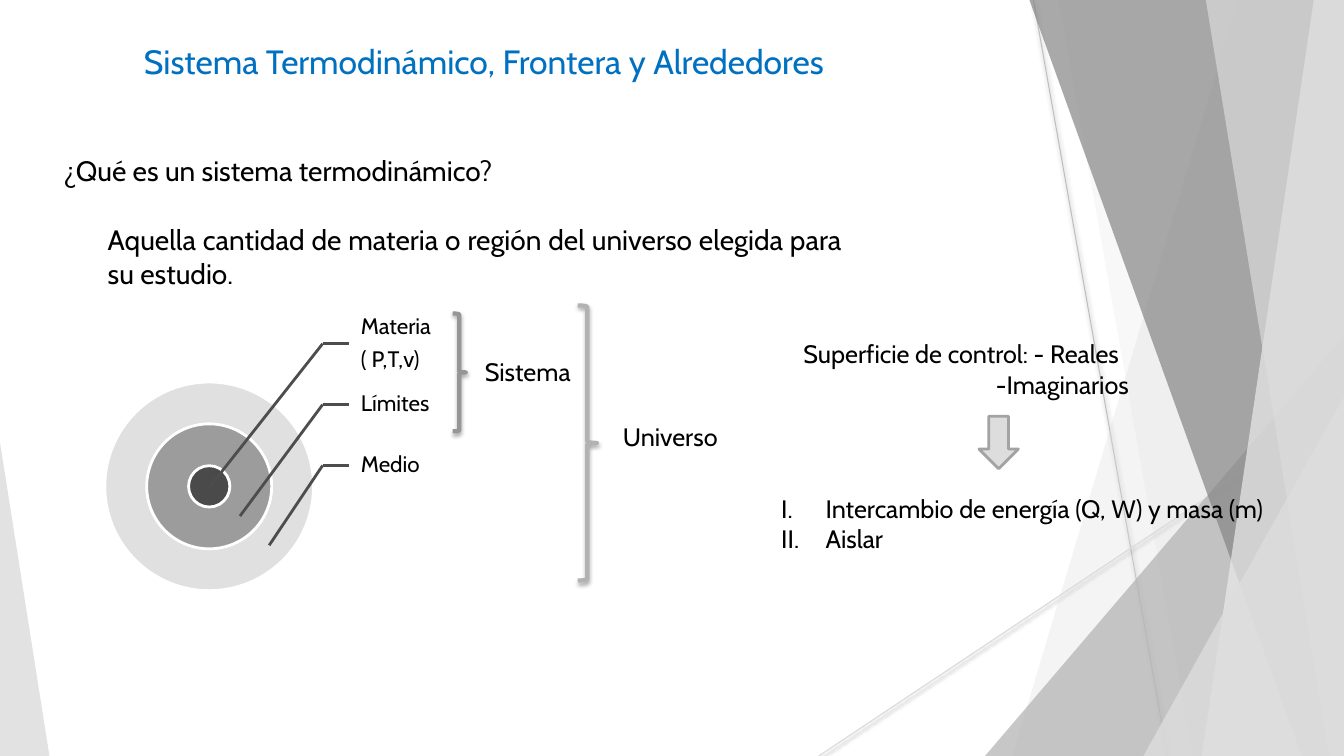
from dataclasses import dataclass

from lxml import etree
from pptx import Presentation
from pptx import util as u
from pptx.dml.color import RGBColor
from pptx.enum import shapes, text
from pptx.oxml import ns

# Grid: 133.3 columns by 75 rows of square cells
COLS, ROWS = 133.3, 75
CELL = u.Inches(0.1)


@dataclass(frozen=True)
class Theme:
    font: str = "Cabin"
    title: str = "0070C0"
    ink: str = "000000"
    white: str = "FFFFFF"
    pale: str = "DDDDDD"
    callout: str = "4D4D4D"
    title_size: int = 24
    body_size: int = 20
    note_size: int = 18
    label_size: int = 16


T = Theme()


def g(cells):
    return u.Emu(round(cells * CELL))


def rgb(value):
    return RGBColor.from_string(value)


def sub(parent, tag, **attrs):
    return etree.SubElement(parent, ns.qn(tag), {k: str(v) for k, v in attrs.items()})


def add_effects(sp, shadow=0):
    """Leave the shape flat, or give it a soft shadow of the given opacity."""
    effects = sub(sp._element.spPr, "a:effectLst")
    if shadow:
        outer = sub(effects, "a:outerShdw", blurRad=u.Pt(3.1), dist=u.Pt(1.7),
                    dir=5400000, algn="ctr", rotWithShape=0)
        color = sub(outer, "a:srgbClr", val="000000")
        sub(color, "a:alpha", val=shadow * 1000)


def paint(sp, fill=None, opacity=100, line=None, width=2, shadow=0):
    if fill:
        sp.fill.solid()
        sp.fill.fore_color.rgb = rgb(fill)
        if opacity < 100:
            color = sp._element.spPr.find(".//" + ns.qn("a:srgbClr"))
            sub(color, "a:alpha", val=opacity * 1000)
    else:
        sp.fill.background()
    if line:
        sp.line.color.rgb = rgb(line)
        sp.line.width = u.Pt(width)
    else:
        sp.line.fill.background()
    add_effects(sp, shadow)


def add_preset(s, kind, box, adj=None, **style):
    sp = s.shapes.add_shape(kind, *map(g, box))
    if adj is not None:
        sp.adjustments[0] = adj
    paint(sp, **style)


def add_facet(s, points, fill, opacity):
    start, *rest = [(g(x), g(y)) for x, y in points]
    builder = s.shapes.build_freeform(*start)
    builder.add_line_segments(rest, close=True)
    paint(builder.convert_to_shape(), fill, opacity)


def add_line(s, start, end, color, width, shadow=0):
    line = s.shapes.add_connector(
        shapes.MSO_CONNECTOR.STRAIGHT, *map(g, (*start, *end)))
    line.line.color.rgb = rgb(color)
    line.line.width = u.Pt(width)
    add_effects(line, shadow)


def add_text(s, box, lines, size, color=T.ink, align=None):
    tf = s.shapes.add_textbox(*map(g, box)).text_frame
    tf.word_wrap = True
    tf.auto_size = text.MSO_AUTO_SIZE.SHAPE_TO_FIT_TEXT
    for i, line in enumerate(lines):
        p = tf.paragraphs[0] if i == 0 else tf.add_paragraph()
        p.text = line
        p.alignment = align
        p.font.name, p.font.size = T.font, u.Pt(size)
        p.font.color.rgb = rgb(color)
    return tf


def indent(p, left, hanging=0, numbering=None):
    pPr = p._p.get_or_add_pPr()
    pPr.set("marL", str(g(left)))
    pPr.set("indent", str(-g(hanging)))
    if numbering:
        bullet = pPr.makeelement(ns.qn("a:buAutoNum"), {"type": numbering})
        pPr.insert(0, bullet)


def add_callout(s, row, tip, lines):
    """Label with a short shelf and a slanted leader to its ring."""
    elbow, shelf_end = 32, 34.6
    tf = add_text(s, (shelf_end, row - 3.05, 10.4, 6.1), lines, T.label_size)
    tf.auto_size = text.MSO_AUTO_SIZE.NONE
    tf.vertical_anchor = text.MSO_ANCHOR.MIDDLE
    tf.margin_left = g(1.2)
    tf.margin_right = tf.margin_top = tf.margin_bottom = g(0.2)
    for p in tf.paragraphs:
        p.line_spacing = 0.9
        p.space_after = u.Pt(6)
    add_line(s, (elbow, row), (shelf_end, row), T.callout, 2)
    add_line(s, (elbow, row), tip, T.callout, 2)


def add_backdrop(s):
    add_line(s, (102.5, 0), (115.8, ROWS), "BFBFBF", 0.75, shadow=38)
    add_line(s, (COLS, 40.3), (81.2, ROWS), "D9D9D9", 0.75, shadow=38)
    triangle = shapes.MSO_SHAPE.ISOSCELES_TRIANGLE

    # Facets reach the right edge: (top left, bottom left, fill, opacity)
    def facet(top, bottom, fill, opacity):
        add_facet(s, [(top, 0), (COLS, 0), (COLS, ROWS), (bottom, ROWS)], fill, opacity)

    def corner(left, top, width, adj, fill, opacity):
        add_preset(s, triangle, (left, top, width, ROWS - top), adj,
                   fill=fill, opacity=opacity)

    facet(122.8, 100.4, T.pale, 30)
    facet(105, 118.3, T.pale, 20)
    corner(97.7, 33.3, 35.6, 1, "B2B2B2", 72)
    facet(102.1, 129.1, "858585", 70)
    facet(130.3, 119.2, "EBEBEB", 70)
    facet(119.6, 131.8, T.pale, 65)
    corner(113.4, 39.3, 19.9, 1, T.pale, 80)
    corner(0, 43.9, 4.9, 0, T.pale, 85)


def add_rings(s):
    cx, cy = 20.75, 48.25
    for size, fill, opacity in ((20.7, "C2C2C2", 50), (12.4, "868686", 75),
                                (4.1, "4A4A4A", 100)):
        add_preset(s, shapes.MSO_SHAPE.OVAL,
                   (cx - size / 2, cy - size / 2, size, size),
                   fill=fill, opacity=opacity, line=T.white)
    callouts = (((20.8, 48.3), ["Materia", "( P,T,v)"]),
                ((23.8, 51.2), ["Límites"]),
                ((26.7, 54.1), ["Medio"]))
    for i, (tip, lines) in enumerate(callouts):
        add_callout(s, 34.1 + 6.04 * i, tip, lines)


def add_brace(s, box, color, label_box, label):
    add_preset(s, shapes.MSO_SHAPE.RIGHT_BRACE, box, line=color, width=3, shadow=35)
    add_text(s, label_box, [label], T.note_size)


def main():
    prs = Presentation()
    prs.slide_width, prs.slide_height = g(COLS), g(ROWS)
    s = prs.slides.add_slide(prs.slide_layouts[6])
    add_backdrop(s)

    # Title and definition
    add_text(s, (13.3, 3.6, 87, 5), ["Sistema Termodinámico, Frontera y Alrededores"],
             T.title_size, T.title)
    add_text(s, (5.3, 14.7, 50.5, 4.4), ["¿Qué es un sistema termodinámico?"], T.body_size)
    add_text(s, (9.7, 21.6, 74.8, 7.7),
             ["Aquella cantidad de materia o región del universo elegida para su estudio."],
             T.body_size, align=text.PP_ALIGN.JUSTIFY)

    # Rings and braces
    add_rings(s)
    add_brace(s, (44.9, 31.1, 1.3, 11.7), "969696", (47.1, 34.9, 20.5, 4), "Sistema")
    add_brace(s, (57.3, 30.3, 1.9, 27.3), "B2B2B2", (60.8, 41.3, 30.5, 4), "Universo")

    # Control surface and its consequences
    tf = add_text(s, (78.7, 33.1, 47, 7.1),
                  ["Superficie de control: - Reales", "-Imaginarios"], T.note_size)
    indent(tf.paragraphs[1], 19.1)
    tf = add_text(s, (76.5, 48.4, 55.5, 7.1),
                  ["Intercambio de energía (Q, W) y masa (m)", "Aislar"], T.note_size)
    for p in tf.paragraphs:
        indent(p, 4.4, 4.4, "romanUcPeriod")
    add_preset(s, shapes.MSO_SHAPE.DOWN_ARROW, (97.1, 41.3, 3.9, 5.2),
               fill=T.pale, line="A3A3A3")

    prs.save("out.pptx")


if __name__ == "__main__":
    main()
